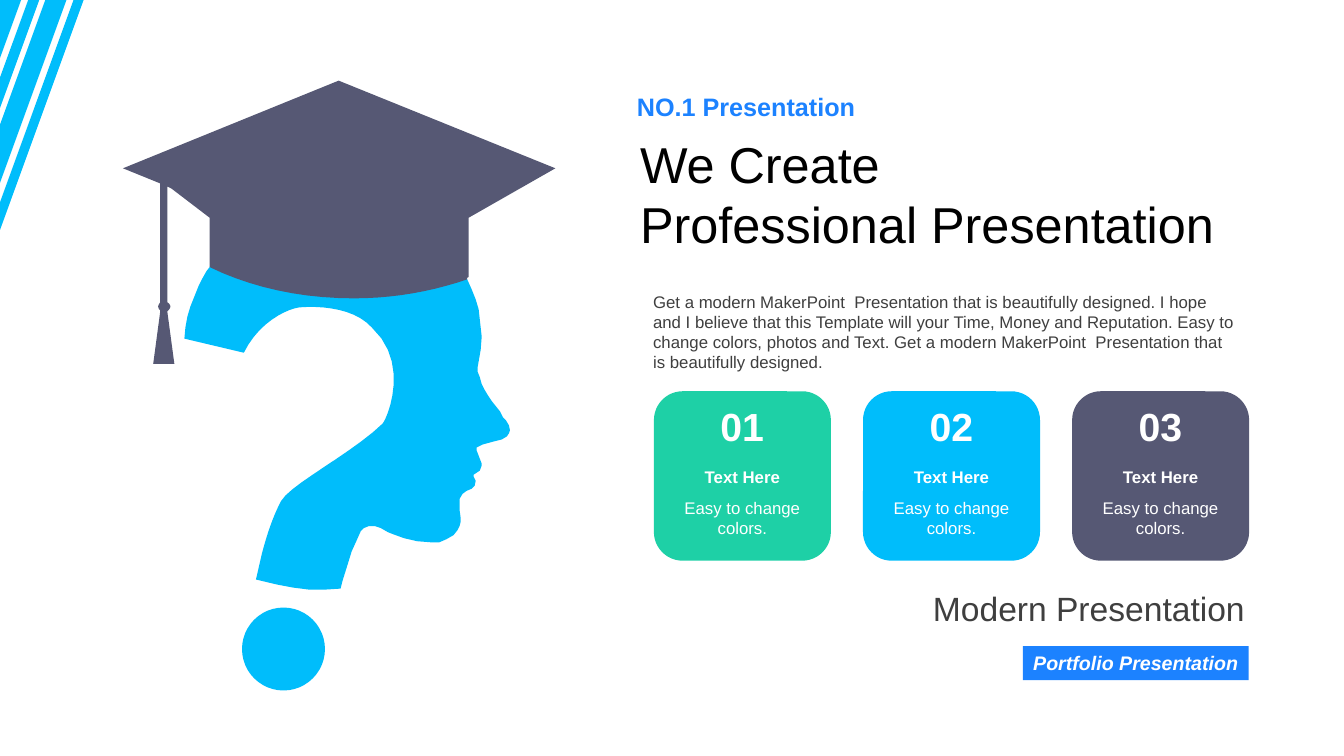
from dataclasses import dataclass

from pptx import Presentation
from pptx.dml.color import RGBColor
from pptx.enum.shapes import MSO_SHAPE
from pptx.enum.text import MSO_ANCHOR, PP_ALIGN
from pptx.util import Cm, Pt


@dataclass(frozen=True)
class Theme:
    font: str = "Arial"
    sky: str = "00BDFB"
    slate: str = "565874"
    green: str = "1ED0A6"
    blue: str = "1C82FF"
    black: str = "000000"
    gray: str = "3F3F3F"
    white: str = "FFFFFF"
    title: int = 36
    number: int = 28
    subtitle: int = 24
    kicker: int = 18
    badge: int = 14
    body: int = 12


THEME = Theme()
OUTLINE_UNIT = Cm(0.0254)  # outlines are listed in hundredths of an inch
CURVE_STEPS = 10

# A pair is a straight step; six numbers are two control points and an end point
HEAD = [
    (360, 210), (373, 213), (404, 224), (413, 229), (422, 234), (430, 240), (438, 246),
    (446, 254), (452, 261), (458, 269), (464, 278), (468, 287), (472, 297), (475, 307),
    (478, 334), (477, 347), (474, 364), (474, 369), (476, 374), (478, 381), (481, 387),
    (484, 392), (488, 398), (496, 408), (499, 414), (502, 417), (505, 422), (506, 427),
    (505, 430), (503, 433), (498, 436), (490, 438), (479, 441), (473, 444), (473, 447),
    (478, 460), (478, 462), (476, 467), (470, 471), (470, 473), (472, 477), (471, 482),
    (468, 485), (463, 487), (459, 490), (456, 495), (456, 506), (457, 513), (457, 518),
    (456, 522), (454, 526), (450, 531), (443, 535), (436, 538), (427, 538), (414, 537),
    (401, 534), (390, 530), (385, 528), (378, 524), (372, 522), (366, 522), (361, 524),
    (358, 527), (354, 536), (349, 547), (345, 560), (340, 576), (338, 584), (322, 585),
    (307, 585), (291, 583), (275, 580), (254, 575), (260, 549),
    (265, 530, 271, 512, 279, 497), (289, 480, 349, 450, 380, 420),
    (386, 411, 406, 359, 369, 325), (353, 307, 322, 303, 297, 305),
    (283, 307, 256, 321, 242, 350), (183, 336), (184, 325), (186, 314), (189, 304),
    (193, 294), (197, 284), (201, 276), (205, 269), (212, 260), (219, 252), (226, 245),
    (234, 238), (243, 232), (252, 226), (262, 221), (272, 217), (283, 214), (294, 211),
    (306, 210), (319, 208), (332, 208), (346, 209),
]
CAP = [
    (336, 80), (122, 167), (159, 182), (159, 300),
    (158, 301, 157, 303, 157, 304), (157, 306, 158, 307, 159, 308),
    (159, 309), (152, 361), (173, 361), (166, 309),
    (167, 308, 169, 306, 169, 304), (169, 303, 168, 301, 166, 300),
    (166, 185), (170, 187), (208, 216), (208, 265),
    (249, 285, 298, 296, 351, 296), (391, 296, 429, 289, 464, 277),
    (463, 277, 463, 275, 465, 275), (465, 216), (551, 167),
]
STRIPES = [(0, 21), (28, 39), (45, 66), (73, 83)]
STRIPE_SLOPE = 2.75
CARDS = [("01", THEME.green), ("02", THEME.sky), ("03", THEME.slate)]
BODY = (
    "Get a modern MakerPoint  Presentation that is beautifully designed. "
    "I hope and I believe that this Template will your Time, Money and Reputation. "
    "Easy to change colors, photos and Text. "
    "Get a modern MakerPoint  Presentation that is beautifully designed."
)


def write_text(frame, text, size, color, bold=False, italic=False,
               align=PP_ALIGN.LEFT, anchor=MSO_ANCHOR.TOP, insets=(0.25, 0.13, 0.25, 0.13)):
    """Fill a text frame, one paragraph per line of text."""
    frame.word_wrap = True
    frame.vertical_anchor = anchor
    (frame.margin_left, frame.margin_top,
     frame.margin_right, frame.margin_bottom) = map(Cm, insets)
    frame.text = text
    for paragraph in frame.paragraphs:
        paragraph.alignment = align
        font = paragraph.runs[0].font
        font.name = THEME.font
        font.size = Pt(size)
        font.bold = bold
        font.italic = italic
        font.color.rgb = RGBColor.from_string(color)


def flatten(outline):
    """Turn an outline with curves into plain points."""
    points = [outline[0]]
    for step in outline[1:]:
        if len(step) == 2:
            points.append(step)
            continue
        start = points[-1]
        for index in range(1, CURVE_STEPS + 1):
            t = index / CURVE_STEPS
            points.append(tuple(
                (1 - t) ** 3 * start[axis] + 3 * (1 - t) ** 2 * t * step[axis]
                + 3 * (1 - t) * t ** 2 * step[axis + 2] + t ** 3 * step[axis + 4]
                for axis in (0, 1)
            ))
    return points


class SlideBuilder:
    def __init__(self, slide, theme):
        self.slide = slide
        self.theme = theme

    def paint(self, shape, color):
        shape.shadow.inherit = False
        shape.fill.solid()
        shape.fill.fore_color.rgb = RGBColor.from_string(color)
        shape.line.fill.background()
        return shape

    def shape(self, kind, box, color):
        return self.paint(self.slide.shapes.add_shape(kind, *map(Cm, box)), color)

    def text(self, box, text, **style):
        text_box = self.slide.shapes.add_textbox(*map(Cm, box))
        write_text(text_box.text_frame, text, **style)

    def outline(self, contours, color):
        builder = None
        for contour in contours:
            points = [(x * OUTLINE_UNIT, y * OUTLINE_UNIT) for x, y in flatten(contour)]
            if builder is None:
                builder = self.slide.shapes.build_freeform(*points[0])
            else:
                builder.move_to(*points[0])
            builder.add_line_segments(points[1:], close=True)
        self.paint(builder.convert_to_shape(), color)

    def card(self, left, number, color):
        theme = self.theme
        centered = {"color": theme.white, "align": PP_ALIGN.CENTER}
        card = self.shape(MSO_SHAPE.ROUNDED_RECTANGLE, (left, 9.86, 4.46, 4.27), color)
        card.adjustments[0] = 0.17
        self.text((left + 0.97, 10.06, 2.51, 1.35), number, size=theme.number,
                  bold=True, anchor=MSO_ANCHOR.MIDDLE, **centered)
        self.text((left + 0.26, 11.63, 3.94, 0.76), "Text Here", size=theme.body,
                  bold=True, **centered)
        self.text((left + 0.26, 12.42, 3.94, 1.27), "Easy to change colors.",
                  size=theme.body, **centered)


def main():
    presentation = Presentation()
    presentation.slide_width = Cm(33.87)
    presentation.slide_height = Cm(19.05)
    slide = presentation.slides.add_slide(presentation.slide_layouts[6])
    builder = SlideBuilder(slide, THEME)

    # Question-mark head with graduation cap
    builder.outline([HEAD], THEME.sky)
    builder.shape(MSO_SHAPE.OVAL, (6.1, 15.31, 2.09, 2.09), THEME.sky)
    builder.outline([CAP], THEME.slate)

    # Headline and introduction
    builder.text((15.8, 2.18, 15.67, 1.02), "NO.1 Presentation",
                 size=THEME.kicker, color=THEME.blue, bold=True)
    builder.text((16, 3.35, 15.47, 3.07), "We Create\nProfessional Presentation",
                 size=THEME.title, color=THEME.black, insets=(0.13, 0, 0.08, 0))
    builder.text((16.21, 7.21, 15.24, 2.31), BODY, size=THEME.body, color=THEME.gray)

    # Numbered cards
    for index, (number, color) in enumerate(CARDS):
        builder.card(16.48 + index * 5.27, number, color)

    # Closing line and badge
    builder.text((22.81, 14.81, 8.66, 1.02), "Modern Presentation",
                 size=THEME.subtitle, color=THEME.gray, align=PP_ALIGN.RIGHT,
                 anchor=MSO_ANCHOR.MIDDLE, insets=(0.1, 0, 0.1, 0))
    badge = builder.shape(MSO_SHAPE.RECTANGLE, (25.78, 16.28, 5.69, 0.86), THEME.blue)
    write_text(badge.text_frame, "Portfolio Presentation", size=THEME.badge,
               color=THEME.white, bold=True, italic=True, align=PP_ALIGN.CENTER)

    # Corner stripes
    builder.outline(
        [[(near, 0), (far, 0), (0, far * STRIPE_SLOPE), (0, near * STRIPE_SLOPE)]
         for near, far in STRIPES],
        THEME.sky)

    presentation.save("out.pptx")


if __name__ == "__main__":
    main()
